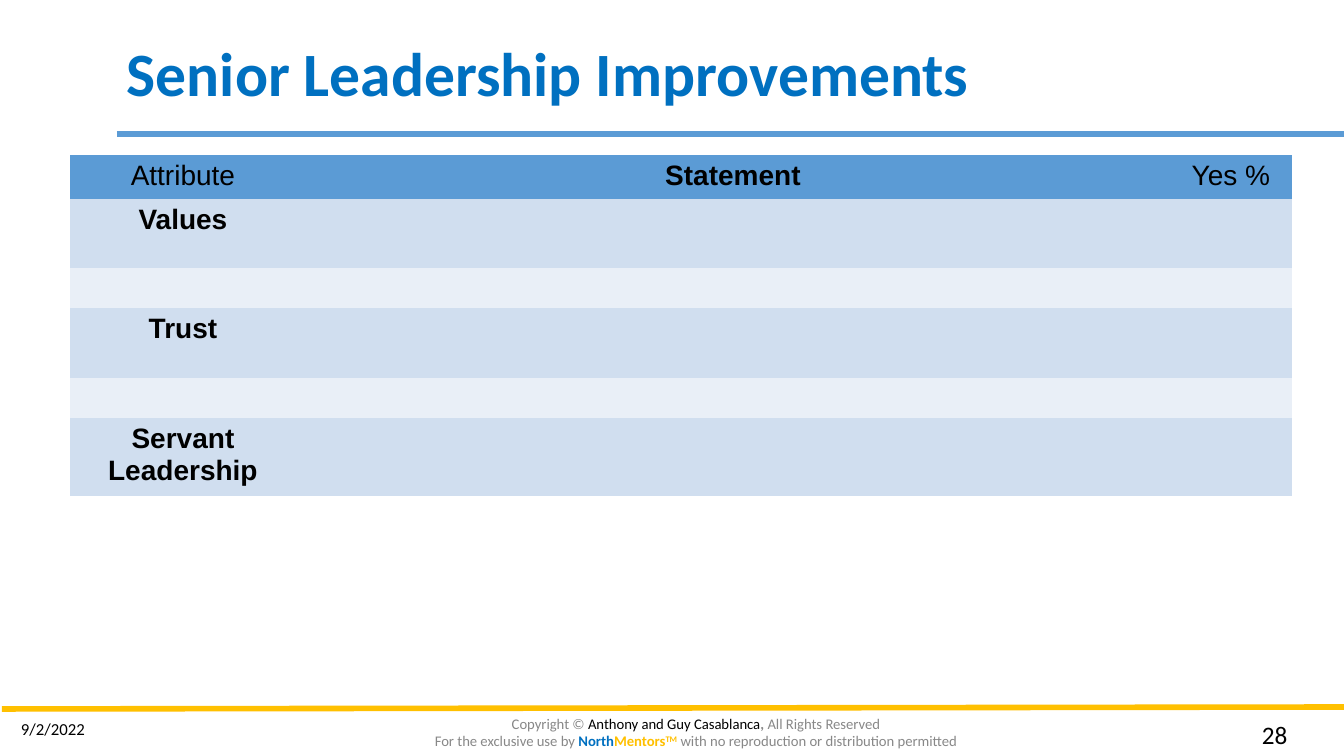
from dataclasses import dataclass

from lxml.etree import SubElement
from pptx import Presentation
from pptx.dml.color import RGBColor
from pptx.enum.shapes import MSO_CONNECTOR
from pptx.enum.text import MSO_ANCHOR, PP_ALIGN
from pptx.oxml.ns import qn
from pptx.slide import Slide
from pptx.text.text import _Paragraph as Paragraph
from pptx.util import Emu, Pt

STRAIGHT = MSO_CONNECTOR.STRAIGHT
TOP, MIDDLE = MSO_ANCHOR.TOP, MSO_ANCHOR.MIDDLE
LEFT, CENTER = PP_ALIGN.LEFT, PP_ALIGN.CENTER

BLACK = RGBColor(0x00, 0x00, 0x00)
GRAY = RGBColor(0x88, 0x88, 0x88)
BLUE = RGBColor(0x00, 0x70, 0xC0)
GOLD = RGBColor(0xFF, 0xC0, 0x00)
HEADER_BLUE = RGBColor(0x5B, 0x9B, 0xD5)
DARK_BAND = RGBColor(0xD0, 0xDE, 0xEF)
LIGHT_BAND = RGBColor(0xE9, 0xEF, 0xF7)

PX_PER_INCH = 100.8
PLAIN_TABLE_STYLE = "{2D5ABB26-0587-4C30-8999-92F81FD0307C}"


@dataclass(frozen=True)
class Span:
    text: str
    size: float
    color: RGBColor = BLACK
    bold: bool = False
    font: str = "Calibri"
    superscript: bool = False


@dataclass(frozen=True)
class TextBox:
    left: int
    top: int
    width: int
    height: int
    lines: list[list[Span]]
    align: PP_ALIGN = LEFT
    anchor: MSO_ANCHOR = TOP
    spacing: float = 1.0


@dataclass(frozen=True)
class Rule:
    start: tuple[int, int]
    end: tuple[int, int]
    color: RGBColor


@dataclass(frozen=True)
class TableRow:
    height: int
    fill: RGBColor
    cells: tuple[str, ...] = ("", "", "")


RULES = [
    Rule((117, 134), (1344, 134), HEADER_BLUE),
    Rule((2, 709), (1344, 707), GOLD),
]

FOOTER_SIZE = 10.5
TEXT_BOXES = [
    TextBox(192, 712, 1008, 40, [
        [
            Span("Copyright © ", FOOTER_SIZE, GRAY),
            Span("Anthony and Guy Casablanca", FOOTER_SIZE),
            Span(", ", FOOTER_SIZE, GRAY, bold=True),
            Span("All Rights Reserved", FOOTER_SIZE, GRAY),
        ],
        [
            Span("For the exclusive use by ", FOOTER_SIZE, GRAY),
            Span("North", FOOTER_SIZE, BLUE, bold=True),
            Span("Mentors", FOOTER_SIZE, GOLD, bold=True),
            Span("TM", FOOTER_SIZE, GOLD, bold=True, superscript=True),
            Span(" with no reproduction or distribution permitted", FOOTER_SIZE, GRAY),
        ],
    ], CENTER, MIDDLE),
    TextBox(117, 30, 1159, 94,
            [[Span("Senior Leadership Improvements", 44, BLUE, bold=True)]],
            anchor=MIDDLE, spacing=0.9),
    TextBox(11, 714, 141, 40, [[Span("9/2/2022", 12)]]),
    TextBox(1252, 714, 85, 40, [[Span("28", 18)]]),
]

TABLE_LEFT, TABLE_TOP = 70, 155
COLUMN_WIDTHS = [226, 874, 122]
REGULAR_HEADINGS = ("Attribute", "Yes %")
TABLE_ROWS = [
    TableRow(42, HEADER_BLUE, ("Attribute", "Statement", "Yes %")),
    TableRow(69, DARK_BAND, ("Values", "", "")),
    TableRow(38, LIGHT_BAND),
    TableRow(70, DARK_BAND, ("Trust", "", "")),
    TableRow(38, LIGHT_BAND),
    TableRow(73, DARK_BAND, ("Servant Leadership", "", "")),
]


def px(length: int) -> Emu:
    return Emu(round(length * 914400 / PX_PER_INCH))


def add_span(para: Paragraph, span: Span) -> None:
    run = para.add_run()
    run.text = span.text
    run.font.size = Pt(span.size)
    run.font.name = span.font
    run.font.bold = span.bold
    run.font.color.rgb = span.color
    if span.superscript:
        run._r.get_or_add_rPr().set("baseline", "30000")


def draw_rule(page: Slide, rule: Rule) -> None:
    line = page.shapes.add_connector(STRAIGHT, *map(px, rule.start + rule.end))
    line.line.color.rgb = rule.color
    line.line.width = Pt(4)
    SubElement(line.element.spPr, qn("a:effectLst"))


def draw_text_box(page: Slide, item: TextBox) -> None:
    box = page.shapes.add_textbox(px(item.left), px(item.top), px(item.width), px(item.height))
    frame = box.text_frame
    frame.word_wrap = True
    frame.vertical_anchor = item.anchor
    for index, spans in enumerate(item.lines):
        para = frame.add_paragraph() if index else frame.paragraphs[0]
        para.alignment = item.align
        para.line_spacing = item.spacing
        for span in spans:
            add_span(para, span)


def draw_table(page: Slide) -> None:
    frame = page.shapes.add_table(
        len(TABLE_ROWS), len(COLUMN_WIDTHS), px(TABLE_LEFT), px(TABLE_TOP),
        px(sum(COLUMN_WIDTHS)), px(sum(row.height for row in TABLE_ROWS)))
    table = frame.table
    table.first_row = False
    table.horz_banding = False
    for style in frame.element.iter(qn("a:tableStyleId")):
        style.text = PLAIN_TABLE_STYLE
    for column, width in zip(table.columns, COLUMN_WIDTHS):
        column.width = px(width)
    for table_row, row in zip(table.rows, TABLE_ROWS):
        table_row.height = px(row.height)
        for cell, text in zip(table_row.cells, row.cells):
            cell.fill.solid()
            cell.fill.fore_color.rgb = row.fill
            para = cell.text_frame.paragraphs[0]
            para.alignment = CENTER
            if text:
                add_span(para, Span(text, 20, bold=text not in REGULAR_HEADINGS, font="Arial"))


def main() -> None:
    deck = Presentation()
    deck.slide_width, deck.slide_height = px(1344), px(756)
    page = deck.slides.add_slide(deck.slide_layouts[6])
    for rule in RULES:
        draw_rule(page, rule)
    for item in TEXT_BOXES:
        draw_text_box(page, item)
    draw_table(page)
    deck.save("out.pptx")


if __name__ == "__main__":
    main()
